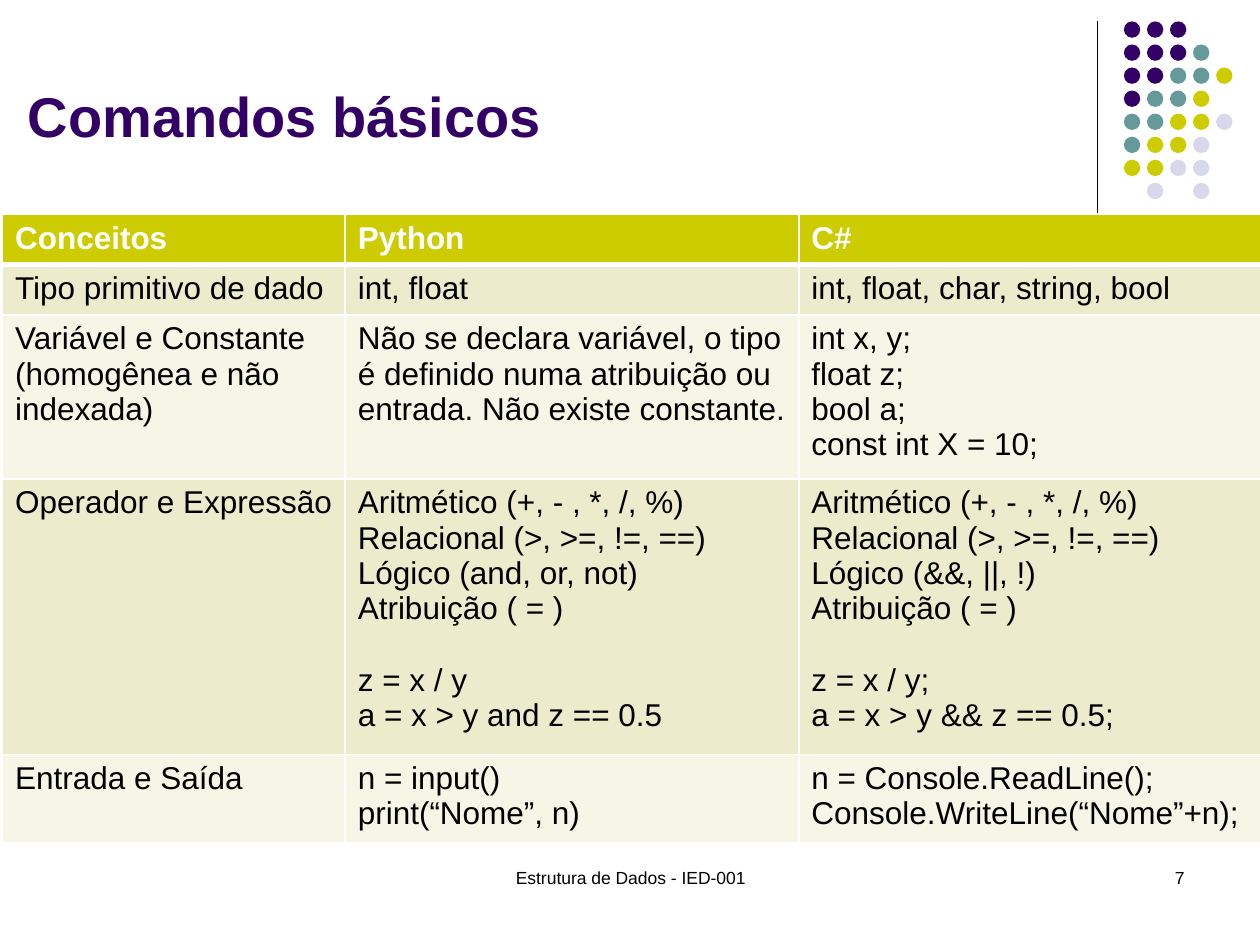
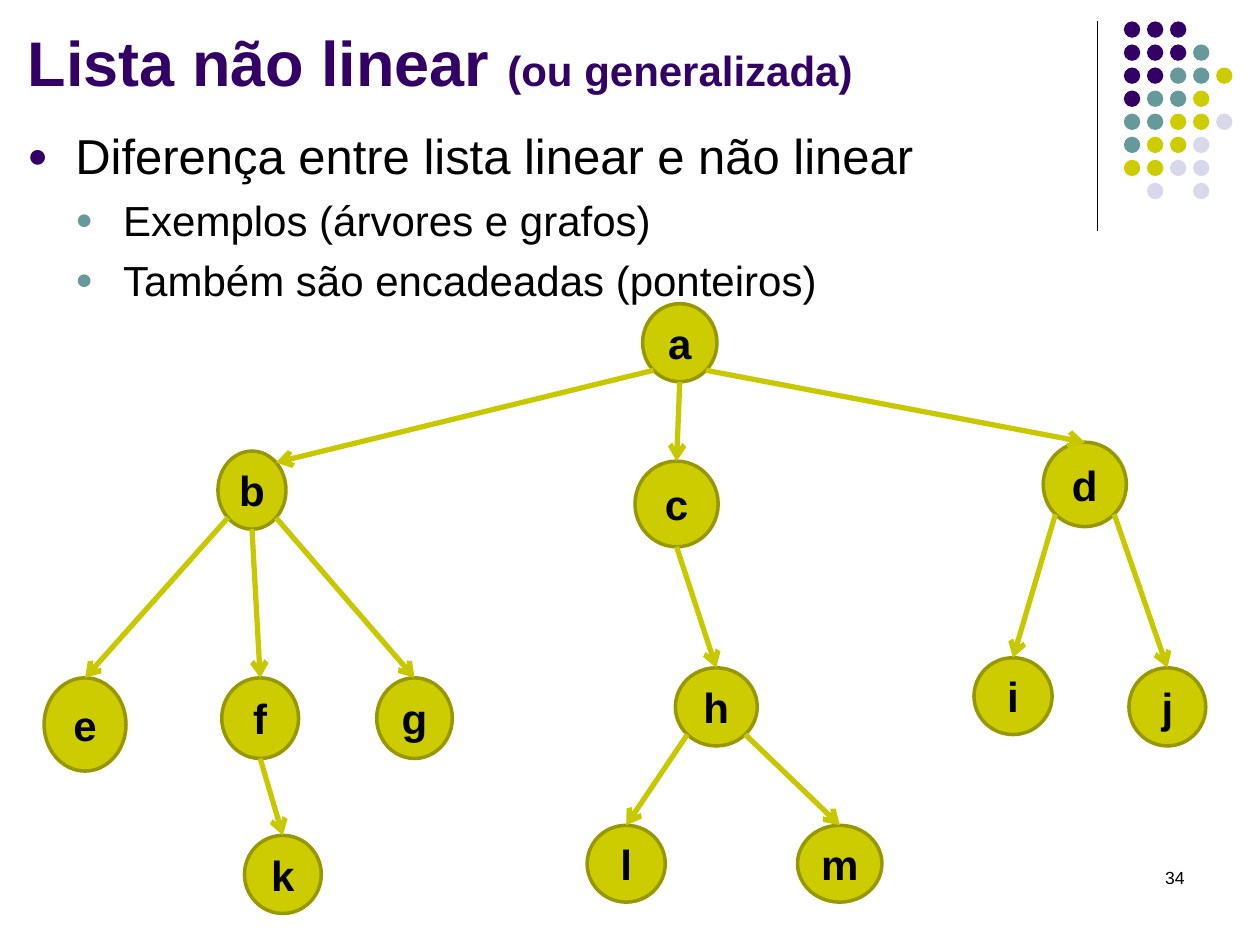
import math

from lxml import etree
from pptx import Presentation, util as u
from pptx.dml.color import RGBColor
from pptx.enum import shapes, text
from pptx.oxml import parse_xml
from pptx.oxml.ns import nsdecls, qn

FONT = "Arial"
PURPLE, TEAL, LIME, LILAC = "330066", "669999", "CCCC00", "D8D8EC"
BLACK, WHITE = "000000", "FFFFFF"
NODE_LINE, ARROW = "979700", "C8C800"
BANDS = ["ECECCC", "F6F6E7"]


def color(hex_code):
    return RGBColor.from_string(hex_code)


def add_span(para, words, size, hex_code=BLACK, bold=False):
    span = para.add_run()
    span.text = words
    span.font.name = FONT
    span.font.size = u.Pt(size)
    span.font.bold = bold
    span.font.color.rgb = color(hex_code)


deck = Presentation()
deck.slide_width = u.Inches(10)
deck.slide_height = u.Inches(7.5)
layout = deck.slide_layouts[5]
for holder in list(layout.placeholders):
    if holder.placeholder_format.idx != 0:
        holder.element.getparent().remove(holder.element)

commands_page = deck.slides.add_slide(layout)
tree_page = deck.slides.add_slide(layout)

# Shared decoration lives on the layout.
rule = commands_page.shapes.add_connector(
    shapes.MSO_CONNECTOR.STRAIGHT,
    u.Inches(8.71), u.Inches(0.17), u.Inches(8.71), u.Inches(1.83))
rule.line.color.rgb = color(BLACK)
rule.line.width = u.Pt(0.75)
etree.SubElement(rule.element.spPr, qn("a:effectLst"))
decoration = [rule]

dot_colors = {"P": PURPLE, "T": TEAL, "L": LIME, "V": LILAC}
dot_rows = ["PPP", "PPPT", "PPTTL", "PTTL", "TTLLV", "TLLV", "LLVV", " V V"]
for row, pattern in enumerate(dot_rows):
    for column, letter in enumerate(pattern):
        if letter == " ":
            continue
        dot = commands_page.shapes.add_shape(
            shapes.MSO_SHAPE.OVAL,
            u.Inches(8.92 + 0.183 * column), u.Inches(0.17 + 0.183 * row),
            u.Inches(0.13), u.Inches(0.13))
        dot.shadow.inherit = False
        dot.fill.solid()
        dot.fill.fore_color.rgb = color(dot_colors[letter])
        dot.line.fill.background()
        decoration.append(dot)
for item in decoration:
    layout.shapes.element.append(item.element)

titles = [
    (commands_page, (0.12, 0.6, 6.31, 0.63), [("Comandos básicos", 32)]),
    (tree_page, (0.12, 0.13, 7.32, 0.71),
     [("Lista não linear ", 36), ("(ou generalizada)", 24)]),
]
for page, place, spans in titles:
    title = page.shapes.title
    title.left, title.top, title.width, title.height = map(u.Inches, place)
    frame = title.text_frame
    frame.auto_size = text.MSO_AUTO_SIZE.NONE
    frame.word_wrap = True
    frame.vertical_anchor = text.MSO_ANCHOR.BOTTOM
    para = frame.paragraphs[0]
    para.alignment = text.PP_ALIGN.LEFT
    for words, size in spans:
        add_span(para, words, size, PURPLE, True)

footers = [
    (commands_page, 3.42, 3.17, text.PP_ALIGN.CENTER, "Estrutura de Dados - IED-001"),
    (commands_page, 7.17, 2.33, text.PP_ALIGN.RIGHT, "7"),
    (tree_page, 7.17, 2.33, text.PP_ALIGN.RIGHT, "34"),
]
for page, left, width, alignment, words in footers:
    box = page.shapes.add_textbox(
        u.Inches(left), u.Inches(6.83), u.Inches(width), u.Inches(0.5))
    box.text_frame.word_wrap = True
    para = box.text_frame.paragraphs[0]
    para.alignment = alignment
    add_span(para, words, 10)

operators = ["Aritmético (+, - , *, /, %)", "Relacional (>, >=, !=, ==)"]
rows = [
    (0.37, [["Conceitos"], ["Python"], ["C#"]]),
    (0.38, [["Tipo primitivo de dado"], ["int, float"],
            ["int, float, char, string, bool"]]),
    (1.22, [["Variável e Constante (homogênea e não indexada)"],
            ["Não se declara variável, o tipo é definido numa atribuição ou "
             "entrada. Não existe constante."],
            ["int x, y;", "float z;", "bool a;", "const int X = 10;"]]),
    (2.06, [["Operador e Expressão"],
            operators + ["Lógico (and, or, not)", "Atribuição ( = )",
                         "z = x / y", "a = x > y and z == 0.5"],
            operators + ["Lógico (&&, ||, !)", "Atribuição ( = )",
                         "z = x / y;", "a = x > y && z == 0.5;"]]),
    (0.66, [["Entrada e Saída"],
            ["n = input()", "print(“Nome”, n)"],
            ["n = Console.ReadLine();", "Console.WriteLine(“Nome”+n);"]]),
]
column_widths = [2.72, 3.6, 3.68]
table = commands_page.shapes.add_table(
    len(rows), len(column_widths), u.Inches(0.02), u.Inches(1.7),
    u.Inches(sum(column_widths)), u.Inches(sum(height for height, _ in rows))).table
for column, width in zip(table.columns, column_widths):
    column.width = u.Inches(width)
for row, (height, contents) in enumerate(rows):
    table.rows[row].height = u.Inches(height)
    header = row == 0
    for column, lines in enumerate(contents):
        cell = table.cell(row, column)
        cell.fill.solid()
        cell.fill.fore_color.rgb = color(LIME if header else BANDS[(row - 1) % 2])
        for index, words in enumerate(lines):
            frame = cell.text_frame
            para = frame.paragraphs[0] if index == 0 else frame.add_paragraph()
            if words.startswith("z ="):
                para.space_before = u.Pt(20.7)
            add_span(para, words, 18, WHITE if header else BLACK, header)
        heavy = {0: "B", 1: "T"}.get(row)
        for position, side in enumerate("LRTB"):
            width = u.Pt(3 if side == heavy else 1)
            cell._tc.get_or_add_tcPr().insert(position, parse_xml(
                f'<a:ln{side} {nsdecls("a")} w="{width}"><a:solidFill>'
                f'<a:srgbClr val="{WHITE}"/></a:solidFill></a:ln{side}>'))

box = tree_page.shapes.add_textbox(
    u.Inches(0.12), u.Inches(0.95), u.Inches(8.26), u.Inches(1.56))
frame = box.text_frame
frame.word_wrap = True
bullets = [
    (0, "Diferença entre lista linear e não linear", 28, PURPLE),
    (1, "Exemplos (árvores e grafos)", 24, TEAL),
    (1, "Também são encadeadas (ponteiros)", 24, TEAL),
]
for index, (level, words, size, bullet_color) in enumerate(bullets):
    para = frame.paragraphs[0] if index == 0 else frame.add_paragraph()
    para.level = level
    para.space_before = u.Pt(5.5 if index else 0)
    add_span(para, words, size)
    settings = para._p.get_or_add_pPr()
    settings.set("marL", str(u.Inches(0.38 * (level + 1))))
    settings.set("indent", str(u.Inches(-0.38)))
    bullet_fill = etree.SubElement(settings, qn("a:buClr"))
    etree.SubElement(bullet_fill, qn("a:srgbClr"), val=bullet_color)
    etree.SubElement(settings, qn("a:buSzPct"), val="70000")
    etree.SubElement(settings, qn("a:buFont"), typeface=FONT)
    etree.SubElement(settings, qn("a:buChar"), char="●")

node_places = {
    "a": (5.1, 2.41, 0.59, 0.62), "b": (1.73, 3.58, 0.54, 0.62),
    "e": (0.35, 5.38, 0.65, 0.74), "f": (1.76, 5.38, 0.61, 0.64),
    "g": (2.99, 5.38, 0.6, 0.64), "k": (1.94, 6.63, 0.61, 0.62),
    "c": (5.04, 3.66, 0.66, 0.68), "h": (5.36, 5.3, 0.65, 0.62),
    "l": (4.66, 6.55, 0.62, 0.61), "m": (6.33, 6.55, 0.67, 0.61),
    "d": (8.28, 3.51, 0.66, 0.67), "i": (7.73, 5.22, 0.62, 0.61),
    "j": (8.96, 5.3, 0.61, 0.62),
}
nodes = {}
for letter, place in node_places.items():
    node = tree_page.shapes.add_shape(shapes.MSO_SHAPE.OVAL, *map(u.Inches, place))
    node.shadow.inherit = False
    node.fill.solid()
    node.fill.fore_color.rgb = color(LIME)
    node.line.color.rgb = color(NODE_LINE)
    node.line.width = u.Pt(2)
    node.text_frame.word_wrap = False
    node.text_frame.vertical_anchor = text.MSO_ANCHOR.MIDDLE
    para = node.text_frame.paragraphs[0]
    para.alignment = text.PP_ALIGN.CENTER
    add_span(para, letter, 24, BLACK, True)
    nodes[letter] = node

# Angles run clockwise from the right-hand side of a node.
edges = [
    ("a", 135, "b", -45), ("a", 90, "c", -90), ("a", 45, "d", -90),
    ("b", 135, "e", -90), ("b", 90, "f", -90), ("b", 45, "g", -90),
    ("f", 90, "k", -90), ("c", 90, "h", -90),
    ("h", 135, "l", -90), ("h", 45, "m", -90),
    ("d", 135, "i", -90), ("d", 45, "j", -90),
]
for parent, start_angle, child, end_angle in edges:
    ends = []
    for letter, angle in ((parent, start_angle), (child, end_angle)):
        left, top, width, height = node_places[letter]
        turn = math.radians(angle)
        ends += [u.Inches(left + width / 2 * (1 + math.cos(turn))),
                 u.Inches(top + height / 2 * (1 + math.sin(turn)))]
    arrow = tree_page.shapes.add_connector(shapes.MSO_CONNECTOR.STRAIGHT, *ends)
    if end_angle == -90:
        arrow.end_connect(nodes[child], 0)
    arrow.line.color.rgb = color(ARROW)
    arrow.line.width = u.Pt(3)
    etree.SubElement(arrow.line._get_or_add_ln(), qn("a:tailEnd"), type="arrow")
    etree.SubElement(arrow.element.spPr, qn("a:effectLst"))

deck.save("out.pptx")
